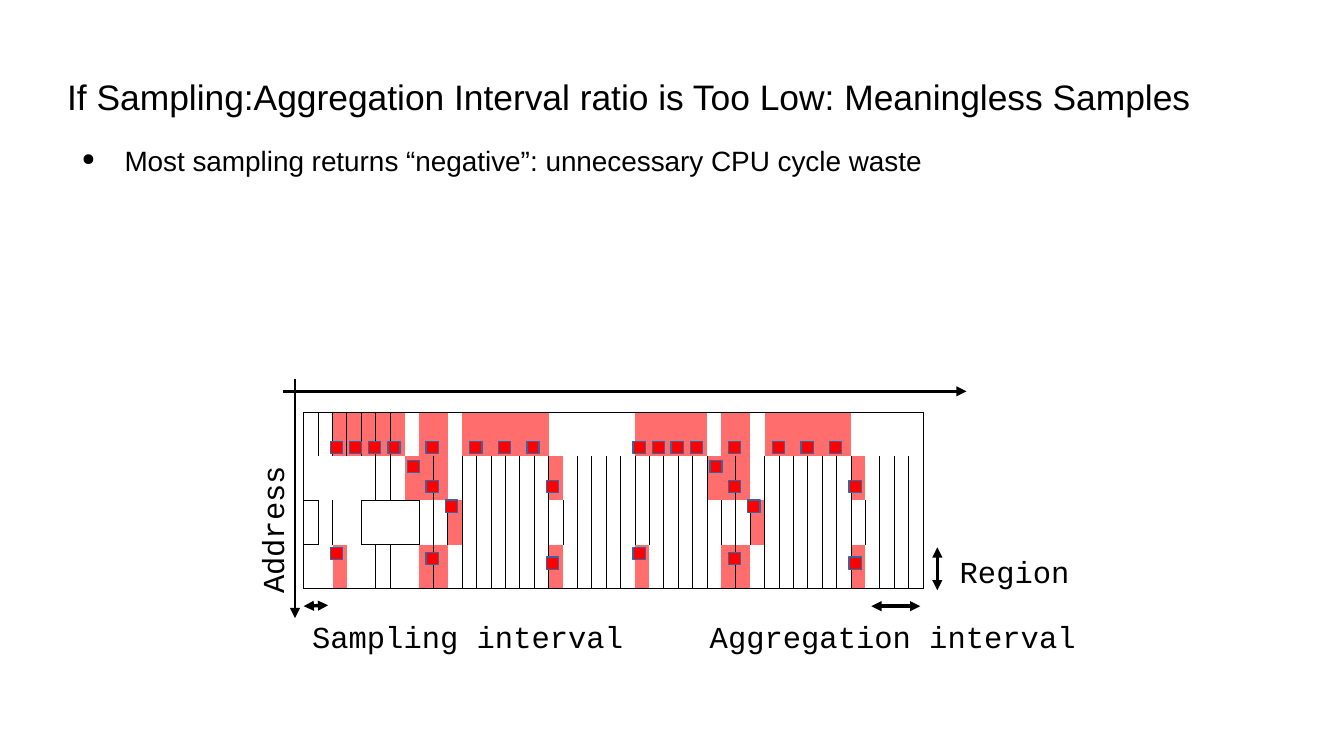
from dataclasses import dataclass

from lxml.etree import SubElement
from pptx import Presentation
from pptx.dml.color import RGBColor
from pptx.enum.shapes import MSO_CONNECTOR, MSO_SHAPE
from pptx.enum.text import MSO_ANCHOR
from pptx.oxml import parse_xml
from pptx.oxml.ns import nsdecls, qn
from pptx.util import Emu, Inches, Pt

SLIDE_WIDTH, SLIDE_HEIGHT = Inches(11.02), Inches(6.2)
MAP_LEFT, MAP_TOP = Inches(2.49), Inches(3.38)
COLUMNS, ROWS = 43, 4
COLUMN, ROW = Inches(5.08) / COLUMNS, Inches(1.45) / ROWS
PERIOD = 21  # columns after which the access pattern repeats
BLACK, WHITE, ACCESSED, SAMPLE, SAMPLE_EDGE = "000000", "FFFFFF", "FF6D6D", "FF0000", "3465A4"
MARKER_SIZE = Inches(0.1)

# Columns accessed within the first period, one set per address region
HOT_COLUMNS = [
    {*range(2, 7), 8, 9, *range(11, 17)},
    {7, 8, 9, 17},
    {10},
    {2, 8, 9, 17},
]
# Column edges that carry a vertical rule, one set per address region
RULED_EDGES = [
    {*range(0, 7), 43},
    {0, 5, 6, 9, *range(11, 18), *range(19, 29), 30, *range(32, 39), *range(40, 44)},
    {0, 1, 2, 4, 8, *range(9, 44)},
    {0, 5, 6, 9, *range(11, 18), *range(19, 23), *range(25, 29), 30,
     *range(32, 39), *range(40, 44)},
]
# Columns that carry a horizontal rule, one set per row edge
EVERY_COLUMN, PARTLY = set(range(COLUMNS)), {0, 4, 5, 6, 7}
RULED_COLUMNS = [EVERY_COLUMN, set(), PARTLY, PARTLY, EVERY_COLUMN]

# Rows of the sample markers, with their columns in the first period
SAMPLES = {
    0.66: [1.86, 3.19, 4.5, 5.85, 8.5, 11.53, 13.52, 15.5],
    1.1: [7.2],
    1.54: [8.5, 16.86],
    1.99: [9.83],
    3.06: [1.86],
    3.17: [8.5],
    3.28: [16.86],
}


@dataclass
class Arrow:
    start: tuple[float, float]
    end: tuple[float, float]
    width: float = 0
    both_ends: bool = True


@dataclass
class Label:
    text: str
    column: float
    row: float
    columns: float
    rows: float = 1.05
    rotation: float = 0


ARROWS = [
    Arrow((-0.6, -0.74), (-0.6, 4.66), 1.5, False),
    Arrow((-1.44, -0.47), (46, -0.47), 1.5, False),
    Arrow((43.98, 3.06), (43.98, 4.03)),
    Arrow((39.4, 4.39), (42.8, 4.39)),
    Arrow((0, 4.39), (1.7, 4.37)),
]
LABELS = [
    Label("Address", -6.86, 1.57, 11.6, 1.85, 270),
    Label("Region", 44.7, 3.06, 9.31),
    Label("Aggregation interval", 27.35, 4.52, 27.1),
    Label("Sampling interval", -0.25, 4.52, 23.3),
]


def color(value: str) -> RGBColor:
    return RGBColor.from_string(value)


def at(column: float, row: float) -> tuple[Emu, Emu]:
    """Slide position of a point given in columns and rows of the access map."""
    return Emu(round(MAP_LEFT + column * COLUMN)), Emu(round(MAP_TOP + row * ROW))


def percent(left: float, top: float, width: float, height: float) -> tuple[Emu, ...]:
    """Box given in percent of the slide's size."""
    sides = (SLIDE_WIDTH, SLIDE_HEIGHT) * 2
    return tuple(Emu(round(share * side / 100))
                 for share, side in zip((left, top, width, height), sides))


def add_text(slide, text: str, box: tuple, *, size: float, font: str = "Arial",
             margins: tuple[float, float] = (0, 0), anchor=MSO_ANCHOR.TOP,
             wrap: bool = True, bullet: str = "", rotation: float = 0) -> None:
    holder = slide.shapes.add_textbox(*box)
    holder.rotation = rotation
    frame = holder.text_frame
    frame.word_wrap, frame.vertical_anchor = wrap, anchor
    frame.margin_left = frame.margin_right = Inches(margins[0])
    frame.margin_top = frame.margin_bottom = Inches(margins[1])
    paragraph = frame.paragraphs[0]
    if bullet:
        properties = paragraph._p.get_or_add_pPr()
        properties.set("marL", str(Inches(0.47)))
        properties.set("indent", str(Inches(-0.35)))
        SubElement(properties, qn("a:buSzPct"), val="60000")
        SubElement(properties, qn("a:buChar"), char=bullet)
    run = paragraph.add_run()
    run.text = text
    run.font.size, run.font.name = Pt(size), font
    run.font.color.rgb = color(BLACK)


def set_borders(cell, sides: dict[str, bool]) -> None:
    properties = cell._tc.get_or_add_tcPr()
    for position, (side, ruled) in enumerate(sides.items()):
        paint = (f'<a:solidFill><a:srgbClr val="{BLACK}"/></a:solidFill>'
                 if ruled else "<a:noFill/>")
        properties.insert(position, parse_xml(
            f'<a:ln{side} {nsdecls("a")} w="{Pt(0.57)}">{paint}</a:ln{side}>'))


def add_access_map(slide) -> None:
    size = Emu(round(COLUMNS * COLUMN)), Emu(round(ROWS * ROW))
    table = slide.shapes.add_table(ROWS, COLUMNS, *at(0, 0), *size).table
    table.first_row = table.horz_banding = False
    for column in table.columns:
        column.width = Emu(round(COLUMN))
    for r, row in enumerate(table.rows):
        row.height = Emu(round(ROW))
        for c, cell in enumerate(row.cells):
            cell.margin_left = cell.margin_right = 0
            cell.margin_top = cell.margin_bottom = 0
            hot = bool({c, c - PERIOD} & HOT_COLUMNS[r])
            cell.fill.solid()
            cell.fill.fore_color.rgb = color(ACCESSED if hot else WHITE)
            set_borders(cell, {
                "L": c in RULED_EDGES[r], "R": c + 1 in RULED_EDGES[r],
                "T": c in RULED_COLUMNS[r], "B": c in RULED_COLUMNS[r + 1]})


def add_arrow(slide, arrow: Arrow) -> None:
    connector = slide.shapes.add_connector(
        MSO_CONNECTOR.STRAIGHT, *at(*arrow.start), *at(*arrow.end))
    connector.line.width = Pt(arrow.width)
    connector.line.color.rgb = color(BLACK)
    line = connector.line._get_or_add_ln()
    for end in ("headEnd", "tailEnd") if arrow.both_ends else ("tailEnd",):
        SubElement(line, qn(f"a:{end}"), type="triangle")
    SubElement(connector._element.spPr, qn("a:effectLst"))


def add_sample(slide, column: float, row: float) -> None:
    marker = slide.shapes.add_shape(
        MSO_SHAPE.RECTANGLE, *at(column, row), MARKER_SIZE, MARKER_SIZE)
    marker.shadow.inherit = False
    marker.fill.solid()
    marker.fill.fore_color.rgb = color(SAMPLE)
    marker.line.color.rgb = color(SAMPLE_EDGE)
    marker.line.width = Pt(0)


def main() -> None:
    deck = Presentation()
    deck.slide_width, deck.slide_height = SLIDE_WIDTH, SLIDE_HEIGHT
    slide = deck.slides.add_slide(deck.slide_layouts[6])
    add_text(slide, "If Sampling:Aggregation Interval ratio is Too Low: Meaningless Samples",
             percent(5, 8.7, 90, 8.1), size=20.9, anchor=MSO_ANCHOR.MIDDLE)
    add_text(slide, "Most sampling returns “negative”: unnecessary CPU cycle waste",
             percent(5, 19, 90, 70.5), size=16.5, bullet="●")
    add_access_map(slide)
    for arrow in ARROWS:
        add_arrow(slide, arrow)
    for shift in (0, PERIOD):
        for row, columns in SAMPLES.items():
            for column in columns:
                add_sample(slide, column + shift, row)
    for label in LABELS:
        size = Emu(round(label.columns * COLUMN)), Emu(round(label.rows * ROW))
        add_text(slide, label.text, (*at(label.column, label.row), *size), size=18,
                 font="Courier New", margins=(0.1, 0.05), wrap=bool(label.rotation),
                 rotation=label.rotation)
    deck.save("out.pptx")


if __name__ == "__main__":
    main()
